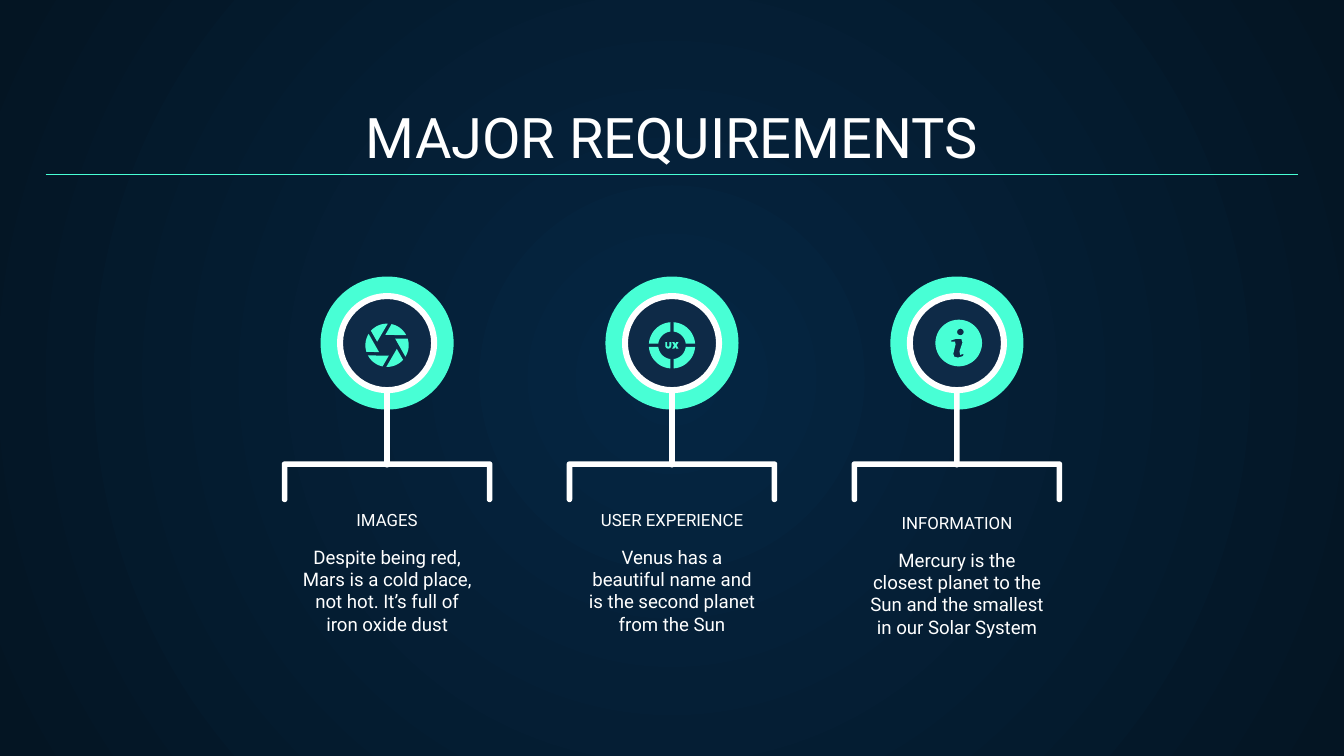
"""Build the slide of three major requirements."""
import math

import pptx
import pptx.dml.color
import pptx.enum.shapes
import pptx.enum.text
import pptx.oxml
import pptx.oxml.ns
import pptx.util

Pt = pptx.util.Pt
SHAPES = pptx.enum.shapes.MSO_SHAPE
ANCHORS = pptx.enum.text.MSO_ANCHOR
COLOURS = {
    "centre": "052643",
    "edge": "041523",
    "white": "FFFFFF",
    "mint": "48FFD5",
    "navy": "0E2A47",
}
FONT = "Roboto"
MIDDLE = 360
PITCH = 152.64
BADGE_Y = 183.8
COLUMNS = [
    ("IMAGES", "Despite being red, Mars is a cold place, not hot. It’s full of iron oxide dust", 0),
    ("USER EXPERIENCE", "Venus has a beautiful name and is the second planet from the Sun", 0),
    ("INFORMATION", "Mercury is the closest planet to the Sun and the smallest in our Solar System", 1.6),
]
LETTER_X = [
    (0, 0), (1, 1.75), (0, 3.5), (1.2, 3.5), (1.7, 2.5), (2.2, 3.5),
    (3.4, 3.5), (2.4, 1.75), (3.4, 0), (2.2, 0), (1.7, 1), (1.2, 0),
]
LETTER_I = [
    (-4, -1.4), (-1.5, -2.2), (1.4, -2.2), (2, -0.2), (0.4, 4.5), (0.8, 6.4), (2.5, 5.8),
    (2.4, 7), (-0.4, 7.8), (-2.4, 7.3), (-2.9, 5.8), (-1.7, 0.7), (-2, -0.8), (-4, -0.7),
]


def rgb(name):
    """Return a named colour."""
    return pptx.dml.color.RGBColor.from_string(COLOURS[name])


def arc(x, y, radius, start, end, steps=12):
    """Return points along an arc, with angles in degrees."""
    angles = [math.radians(start + (end - start) * step / steps) for step in range(steps + 1)]
    return [(x + radius * math.cos(angle), y + radius * math.sin(angle)) for angle in angles]


def moved(points, x, y):
    """Return points shifted by x and y."""
    return [(x + point_x, y + point_y) for point_x, point_y in points]


def rotated(points, degrees):
    """Return points turned about the origin."""
    cosine, sine = math.cos(math.radians(degrees)), math.sin(math.radians(degrees))
    return [(x * cosine - y * sine, x * sine + y * cosine) for x, y in points]


def paint(shape, colour):
    """Give a shape a plain fill without line or shadow."""
    shape.shadow.inherit = False
    shape.fill.solid()
    shape.fill.fore_color.rgb = rgb(colour)
    shape.line.fill.background()


def add_outline(slide, contours, colour):
    """Draw closed contours as one freeform."""
    contours = [[(Pt(x), Pt(y)) for x, y in contour] for contour in contours]
    builder = slide.shapes.build_freeform(*contours[0][0])
    builder.add_line_segments(contours[0][1:], close=True)
    for contour in contours[1:]:
        builder.move_to(*contour[0])
        builder.add_line_segments(contour[1:], close=True)
    paint(builder.convert_to_shape(), colour)


def add_preset(slide, kind, x, y, width, height, colour):
    """Add a preset shape centred on x and y."""
    shape = slide.shapes.add_shape(kind, Pt(x - width / 2), Pt(y - height / 2), Pt(width), Pt(height))
    paint(shape, colour)
    return shape


def set_text(shape, text, box, size, anchor):
    """Place a text shape and format its single paragraph."""
    shape.left, shape.top, shape.width, shape.height = [Pt(length) for length in box]
    frame = shape.text_frame
    frame.text = text
    frame.word_wrap = True
    frame.auto_size = pptx.enum.text.MSO_AUTO_SIZE.NONE
    frame.vertical_anchor = anchor
    frame.margin_left = frame.margin_right = frame.margin_top = frame.margin_bottom = Pt(7.2)
    paragraph = frame.paragraphs[0]
    paragraph.alignment = pptx.enum.text.PP_ALIGN.CENTER
    paragraph.space_before = Pt(0)
    font = paragraph.runs[0].font
    font.name, font.size, font.bold = FONT, Pt(size), False
    font.color.rgb = rgb("white")
    return paragraph


def remove_bullet(paragraph):
    """Clear the bullet and indent of a body paragraph."""
    properties = paragraph.runs[0].font and paragraph._p.get_or_add_pPr()
    properties.set("marL", "0")
    properties.set("indent", "0")
    properties.append(pptx.oxml.parse_xml(f'<a:buNone {pptx.oxml.ns.nsdecls("a")}/>'))


def set_background(slide):
    """Fill the background with a round gradient."""
    fill = slide.background.fill
    fill.gradient()
    for stop, name in zip(fill.gradient_stops, ("centre", "edge")):
        stop.color.rgb = rgb(name)
    linear = slide.element.find(".//" + pptx.oxml.ns.qn("a:lin"))
    linear.getparent().replace(linear, pptx.oxml.parse_xml(
        f'<a:path {pptx.oxml.ns.nsdecls("a")} path="circle">'
        '<a:fillToRect l="50000" t="50000" r="50000" b="50000"/></a:path>'))


def add_rule(slide):
    """Draw the line under the title."""
    rule = slide.shapes.add_connector(
        pptx.enum.shapes.MSO_CONNECTOR.STRAIGHT, Pt(24.5), Pt(93.6), Pt(695.5), Pt(93.6))
    rule.line.color.rgb = rgb("mint")
    rule.line.width = Pt(0.75)
    rule.element.spPr.append(pptx.oxml.parse_xml(f'<a:effectLst {pptx.oxml.ns.nsdecls("a")}/>'))


def add_bracket(slide, x):
    """Draw the bracket with round ends below a badge."""
    top, bottom, half, bar = 247.2, 269, 56.4, 3
    end = bar / 2
    left, right = x - half, x + half
    outline = (
        arc(left + end, top + end, end, 180, 270)
        + arc(right - end, top + end, end, 270, 360)
        + arc(right - end, bottom - end, end, 0, 180)
        + [(right - bar, top + bar), (left + bar, top + bar)]
        + arc(left + end, bottom - end, end, 0, 180)
    )
    add_outline(slide, [outline], "white")


def add_badge(slide, x):
    """Draw the round badge and its stem."""
    add_preset(slide, SHAPES.OVAL, x, BADGE_Y, 71.3, 71.3, "mint")
    stem = add_preset(slide, SHAPES.ROUNDED_RECTANGLE, x, 214.5, 3, 72, "white")
    stem.adjustments[0] = 0.5
    add_preset(slide, SHAPES.OVAL, x, BADGE_Y, 50.4, 50.4, "navy")
    ring = add_preset(slide, SHAPES.DONUT, x, BADGE_Y, 53.6, 53.6, "white")
    ring.adjustments[0] = 0.06


def add_aperture(slide, x):
    """Draw six aperture blades."""
    blade = [(4.3, -3.6)] + arc(0, 0, 11.6, 32, -18)
    for turn in range(0, 360, 60):
        add_outline(slide, [moved(rotated(blade, turn), x, 185)], "mint")


def add_experience(slide, x):
    """Draw a ring of four parts around the letters."""
    y, outer, inner, gap = 185, 12.4, 7.4, 0.9
    outer_gap, inner_gap = [math.degrees(math.asin(gap / radius)) for radius in (outer, inner)]
    part = arc(0, 0, outer, outer_gap, 90 - outer_gap) + arc(0, 0, inner, 90 - inner_gap, inner_gap)
    for turn in range(0, 360, 90):
        add_outline(slide, [moved(rotated(part, turn), x, y)], "mint")
    letter_u = [(0, 0)] + arc(1.6, 1.9, 1.6, 180, 0) + [(3.2, 0), (2.2, 0)]
    letter_u += arc(1.6, 1.9, 0.6, 0, 180) + [(1, 0)]
    for letter, offset in ((letter_u, -3.6), (LETTER_X, 0.1)):
        add_outline(slide, [moved(letter, x + offset, y - 1.7)], "mint")


def add_information(slide, x):
    """Draw a disc with the letter cut out."""
    contours = [arc(0, 0, 12.5, 360, 0, 48), arc(0.9, -5.9, 1.8, 0, 360), LETTER_I]
    add_outline(slide, [moved(contour, x + 1, BADGE_Y) for contour in contours], "mint")


def main():
    """Build and save the presentation."""
    presentation = pptx.Presentation()
    presentation.slide_width, presentation.slide_height = Pt(720), Pt(405)
    slide = presentation.slides.add_slide(presentation.slide_layouts[4])
    set_background(slide)
    set_text(slide.shapes.title, "MAJOR REQUIREMENTS", (24.5, 50.4, 671, 47.5), 30, ANCHORS.BOTTOM)
    bodies = list(slide.placeholders)[1:]
    spare = bodies.pop().element
    spare.getparent().remove(spare)
    icons = (add_aperture, add_experience, add_information)
    for index, ((heading, text, drop), body, add_icon) in enumerate(zip(COLUMNS, bodies, icons)):
        x = MIDDLE + (index - 1) * PITCH
        box = (x - 54.7, 285 + drop, 109.4, 39.6)
        remove_bullet(set_text(body, text, box, 10, ANCHORS.TOP))
        label = slide.shapes.add_textbox(0, 0, 0, 0)
        set_text(label, heading, (x - 81.7, 275.8 + drop, 163.4, 15.1), 9, ANCHORS.BOTTOM)
        add_bracket(slide, x)
        add_badge(slide, x)
        add_icon(slide, x)
    add_rule(slide)
    presentation.save("out.pptx")


if __name__ == "__main__":
    main()
